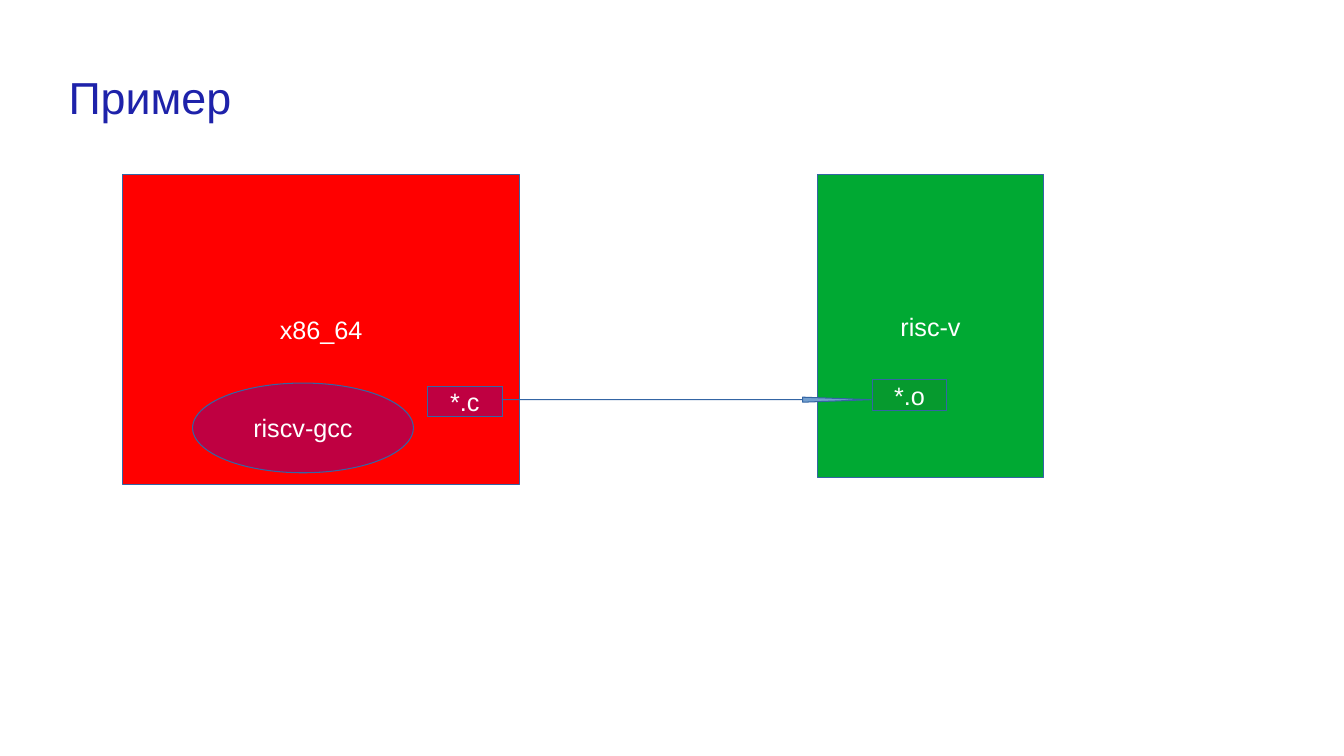
from dataclasses import dataclass

from pptx import Presentation
from pptx.dml.color import RGBColor
from pptx.enum.shapes import MSO_SHAPE
from pptx.enum.text import MSO_ANCHOR, PP_ALIGN
from pptx.util import Inches, Pt

COLORS = {
    "title": "1E22AA", "text": "FFFFFF", "line": "3465A4", "arrow": "729FCF",
    "host": "FF0000", "target": "00A933", "source": "BF0041", "object": "069A2E",
}
CELL = 0.1  # side of a grid cell, inches
FILE_SIZE = (7.4, 3)  # columns and rows of a file label
MACHINE_TOP = 17.3


@dataclass
class Block:
    """A filled shape; its place is in columns and rows of the grid."""
    col: float
    row: float
    cols: float
    rows: float
    fill: str
    text: str = ""
    kind: MSO_SHAPE = MSO_SHAPE.RECTANGLE
    adjustments: tuple[float, ...] = ()


BLOCKS = [
    # Machines
    Block(12.2, MACHINE_TOP, 39.3, 30.8, "host", "x86_64"),
    Block(81.1, MACHINE_TOP, 22.4, 30.1, "target", "risc-v"),
    # Compiler and its files, joined by an arrow
    Block(19.1, 38, 21.9, 8.9, "source", "riscv-gcc", MSO_SHAPE.OVAL),
    Block(42.4, 38.3, *FILE_SIZE, "source", "*.c"),
    Block(49.8, 39.4, 36.6, 0.5, "arrow", kind=MSO_SHAPE.RIGHT_ARROW,
          adjustments=(0, 13.56)),
    Block(86.5, 37.7, *FILE_SIZE, "object", "*.o"),
]


def grid(n: float) -> int:
    return Inches(n * CELL)


def color(name: str) -> RGBColor:
    return RGBColor.from_string(COLORS[name])


def write(tf, text: str, *, size: float = 18, fill: str = "text",
          align=PP_ALIGN.CENTER, anchor=MSO_ANCHOR.MIDDLE, spacing: float = 1.0,
          margins: tuple[float, ...] = (0.1, 0.05, 0.1, 0.05)) -> None:
    tf.word_wrap = True
    tf.vertical_anchor = anchor
    tf.margin_left, tf.margin_top, tf.margin_right, tf.margin_bottom = map(Inches, margins)
    p = tf.paragraphs[0]
    p.alignment = align
    p.line_spacing = spacing
    r = p.add_run()
    r.text = text
    r.font.name = "Arial"
    r.font.size = Pt(size)
    r.font.color.rgb = color(fill)


def draw_block(s, block: Block) -> None:
    sp = s.shapes.add_shape(block.kind, grid(block.col), grid(block.row),
                            grid(block.cols), grid(block.rows))
    sp.shadow.inherit = False
    for i, value in enumerate(block.adjustments):
        sp.adjustments[i] = value
    sp.fill.solid()
    sp.fill.fore_color.rgb = color(block.fill)
    sp.line.color.rgb = color("line")
    sp.line.width = Pt(0)
    if block.text:
        write(sp.text_frame, block.text)


def main() -> None:
    prs = Presentation()
    prs.slide_width, prs.slide_height = Inches(13.33), Inches(7.5)
    s = prs.slides.add_slide(prs.slide_layouts[5])

    # Title
    title = s.shapes.title
    title.left, title.top, title.width, title.height = map(grid, (6.8, 7.3, 102.9, 6.4))
    write(title.text_frame, "Пример", size=32, fill="title", align=PP_ALIGN.LEFT,
          anchor=MSO_ANCHOR.TOP, spacing=0.85, margins=(0, 0.04, 0.04, 0.04))

    # Diagram
    for block in BLOCKS:
        draw_block(s, block)

    prs.save("out.pptx")


if __name__ == "__main__":
    main()
